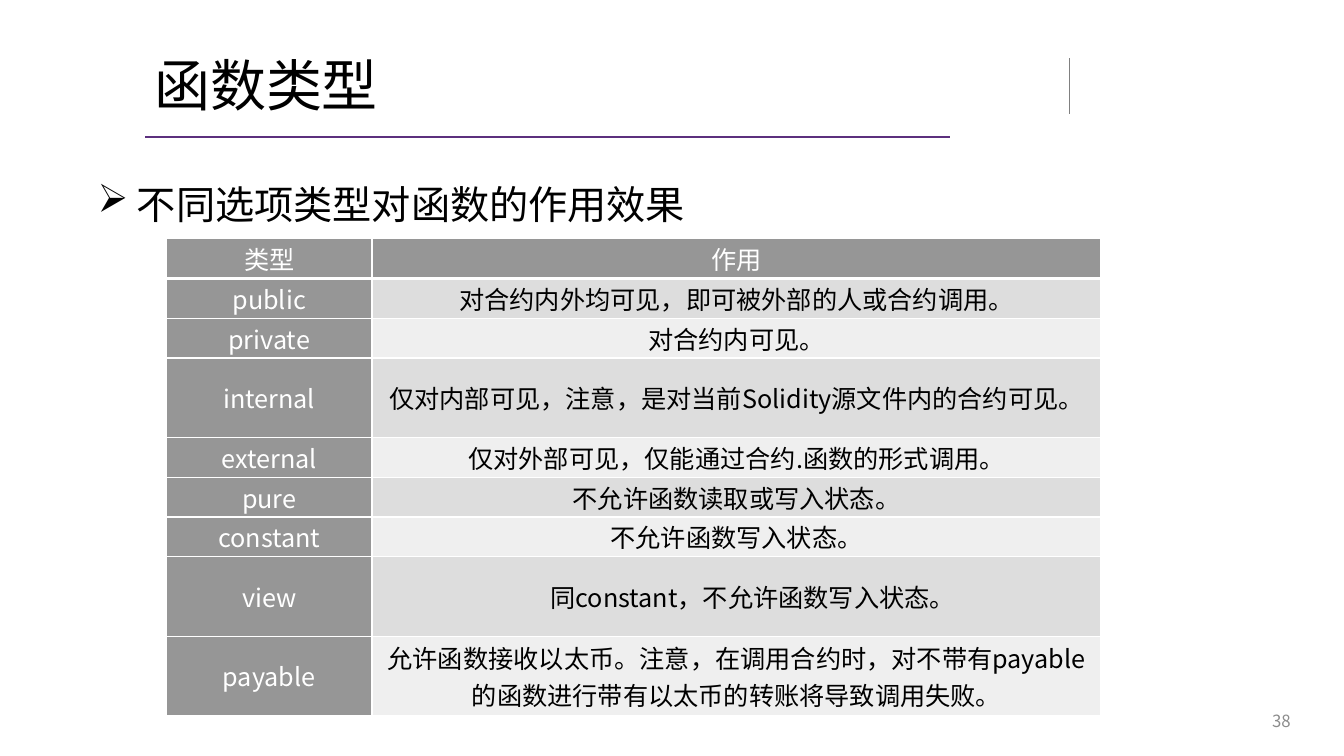
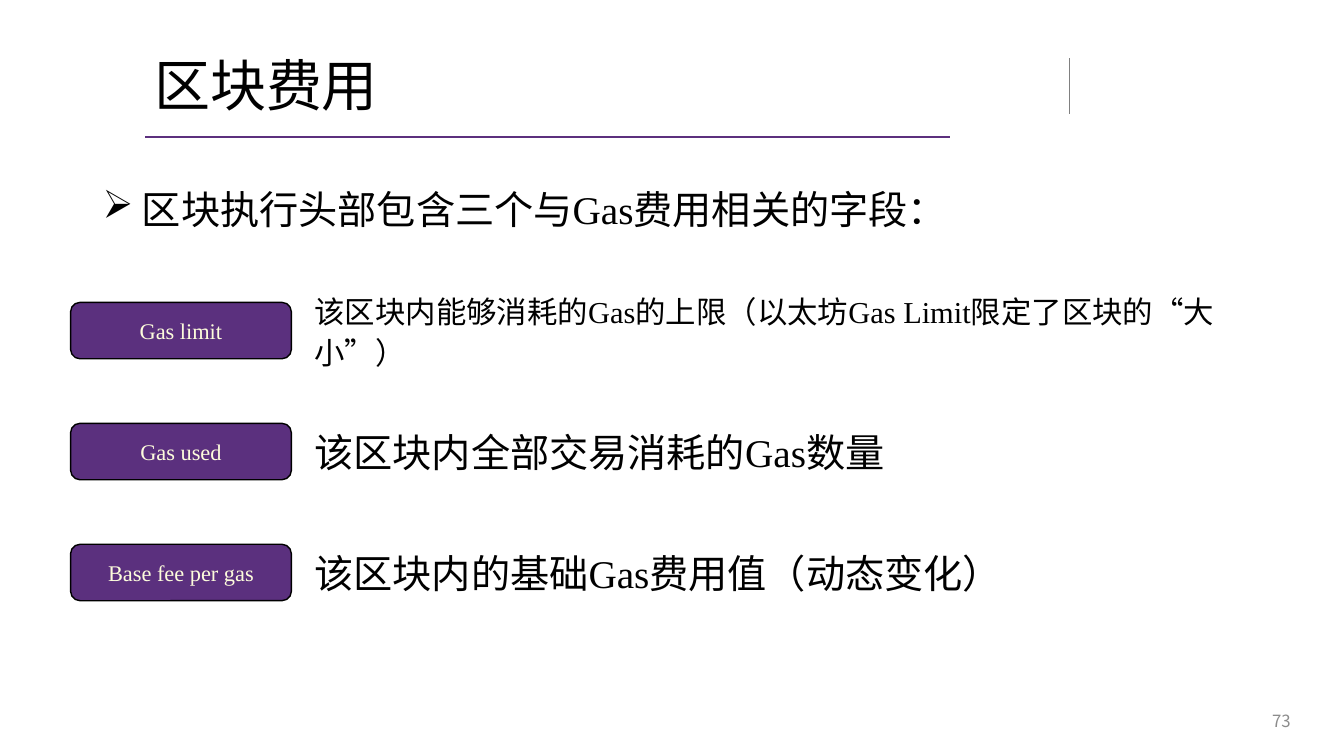
from dataclasses import dataclass
from typing import Optional

from lxml import etree
from pptx import Presentation
from pptx.dml.color import RGBColor
from pptx.enum.shapes import MSO_CONNECTOR, MSO_SHAPE
from pptx.enum.text import MSO_ANCHOR, PP_ALIGN
from pptx.oxml.ns import qn
from pptx.util import Inches, Pt

LEFT, CENTER, RIGHT = PP_ALIGN.LEFT, PP_ALIGN.CENTER, PP_ALIGN.RIGHT
TOP, MIDDLE = MSO_ANCHOR.TOP, MSO_ANCHOR.MIDDLE
STRAIGHT = MSO_CONNECTOR.STRAIGHT
ROUNDED = MSO_SHAPE.ROUNDED_RECTANGLE

SANS = "Noto Sans CJK SC"
SERIF = "Times New Roman"
COLORS = {
    "text": "000000",
    "white": "FFFFFF",
    "rule": "5C307E",
    "divider": "808080",
    "page": "8C8C8C",
    "label": "5B307E",
    "label_text": "FDFCDC",
    "head": "969696",
    "band_dark": "DDDDDD",
    "band_light": "EFEFEF",
}


@dataclass(frozen=True)
class Style:
    size: float
    font: str = SANS
    color: str = "text"
    align: PP_ALIGN = LEFT
    anchor: MSO_ANCHOR = TOP
    spacing: float = 1.0
    bullet: bool = False


@dataclass(frozen=True)
class Box:
    left: float
    top: float
    width: float
    height: float

    def emu(self) -> tuple:
        return tuple(Inches(n) for n in (self.left, self.top, self.width, self.height))


@dataclass(frozen=True)
class TableRow:
    kind: str
    effect: str
    units: int = 1
    indent: Optional[float] = None


@dataclass(frozen=True)
class Field:
    name: str
    meaning: str
    style: Style


TITLE = Style(40, anchor=MIDDLE, spacing=0.9)
PAGE = Style(12, color="page", align=RIGHT, anchor=MIDDLE)
CELL = Style(18, align=CENTER, anchor=MIDDLE)
CELL_WHITE = Style(18, color="white", align=CENTER, anchor=MIDDLE)
LABEL = Style(16, SERIF, "label_text", CENTER, MIDDLE)
MEANING = Style(28, SERIF, spacing=1.3)
LONG_MEANING = Style(21.7, SERIF, anchor=MIDDLE, spacing=1.1)

TABLE_ROWS = [
    TableRow("类型", "作用"),
    TableRow("public", "对合约内外均可见，即可被外部的人或合约调用。"),
    TableRow("private", "对合约内可见。"),
    TableRow("internal", "仅对内部可见，注意，是对当前Solidity源文件内的合约可见。", 2),
    TableRow("external", "仅对外部可见，仅能通过合约.函数的形式调用。"),
    TableRow("pure", "不允许函数读取或写入状态。"),
    TableRow("constant", "不允许函数写入状态。"),
    TableRow("view", "同constant，不允许函数写入状态。", 2, 1.7),
    TableRow("payable", "允许函数接收以太币。注意，在调用合约时，对不带有payable的函数进行"
             "带有以太币的转账将导致调用失败。", 2),
]
FIELDS = [
    Field("Gas limit", "该区块内能够消耗的Gas的上限（以太坊Gas Limit限定了区块的“大小”）",
          LONG_MEANING),
    Field("Gas used", "该区块内全部交易消耗的Gas数量", MEANING),
    Field("Base fee per gas", "该区块内的基础Gas费用值（动态变化）", MEANING),
]


def rgb(name: str) -> RGBColor:
    return RGBColor.from_string(COLORS[name])


def write(text_frame, text: str, style: Style):
    """Put one styled paragraph in a text frame."""
    text_frame.word_wrap = True
    paragraph = text_frame.paragraphs[0]
    paragraph.text = text
    paragraph.alignment = style.align
    paragraph.line_spacing = style.spacing
    properties = paragraph._p.get_or_add_pPr()
    if style.bullet:
        properties.set("marL", str(Inches(0.39)))
        properties.set("indent", str(-Inches(0.39)))
        etree.SubElement(properties, qn("a:buChar"), char="➢")
    font = paragraph.font
    font.size = Pt(style.size)
    font.name = style.font
    font.color.rgb = rgb(style.color)
    # Chinese characters always use the sans font
    etree.SubElement(properties.find(qn("a:defRPr")), qn("a:ea"), typeface=SANS)
    return paragraph


def add_text(slide, box: Box, text: str, style: Style) -> None:
    text_frame = slide.shapes.add_textbox(*box.emu()).text_frame
    text_frame.vertical_anchor = style.anchor
    write(text_frame, text, style)


def add_line(slide, start: tuple, end: tuple, color: str, width: float) -> None:
    points = [Inches(n) for n in start + end]
    connector = slide.shapes.add_connector(STRAIGHT, *points)
    connector.line.color.rgb = rgb(color)
    connector.line.width = Pt(width)
    etree.SubElement(connector._element.spPr, qn("a:effectLst"))


def add_label(slide, box: Box, text: str) -> None:
    shape = slide.shapes.add_shape(ROUNDED, *box.emu())
    shape.shadow.inherit = False
    shape.fill.solid()
    shape.fill.fore_color.rgb = rgb("label")
    shape.line.color.rgb = rgb("text")
    shape.line.width = Pt(1)
    shape.text_frame.vertical_anchor = LABEL.anchor
    write(shape.text_frame, text, LABEL)


def add_slide(presentation, title: str, page: int):
    """Blank slide with the shared title, rules and page number."""
    slide = presentation.slides.add_slide(presentation.slide_layouts[6])
    add_line(slide, (1.44, 1.36), (9.42, 1.36), "rule", 1.5)
    add_line(slide, (10.61, 0.58), (10.61, 1.13), "divider", 1)
    add_text(slide, Box(1.43, 0.4, 8.99, 0.96), title, TITLE)
    add_text(slide, Box(9.9, 6.95, 3, 0.4), str(page), PAGE)
    return slide


def fill_cell(cell, text: str, style: Style, fill: str, bottom_width: float):
    cell.margin_left = cell.margin_right = Inches(0.07)
    cell.margin_top = cell.margin_bottom = 0
    cell.vertical_anchor = style.anchor
    # Borders come before the fill in the cell properties
    properties = cell._tc.get_or_add_tcPr()
    for side, width in (("L", 1), ("R", 1), ("T", 1), ("B", bottom_width)):
        border = etree.SubElement(properties, qn(f"a:ln{side}"), w=str(Pt(width)))
        solid = etree.SubElement(border, qn("a:solidFill"))
        etree.SubElement(solid, qn("a:srgbClr"), val=COLORS["white"])
    cell.fill.solid()
    cell.fill.fore_color.rgb = rgb(fill)
    return write(cell.text_frame, text, style)


def add_type_table(slide, box: Box, column_widths: tuple) -> None:
    table = slide.shapes.add_table(len(TABLE_ROWS), 2, *box.emu()).table
    table.first_row = table.horz_banding = False
    for column, width in zip(table.columns, column_widths):
        column.width = Inches(width)
    unit = box.height / sum(row.units for row in TABLE_ROWS)
    for index, row in enumerate(TABLE_ROWS):
        table.rows[index].height = Inches(unit * row.units)
        header = index == 0
        bottom = 3 if header else 1
        band = "head" if header else "band_dark" if index % 2 else "band_light"
        fill_cell(table.cell(index, 0), row.kind, CELL_WHITE, "head", bottom)
        paragraph = fill_cell(table.cell(index, 1), row.effect,
                              CELL_WHITE if header else CELL, band, bottom)
        if row.indent is not None:
            paragraph.alignment = LEFT
            paragraph._p.pPr.set("indent", str(Inches(row.indent)))


def build_function_types(presentation) -> None:
    slide = add_slide(presentation, "函数类型", 38)
    add_text(slide, Box(0.87, 1.55, 10.81, 0.83), "不同选项类型对函数的作用效果",
             Style(28, spacing=1.4, bullet=True))
    add_type_table(slide, Box(1.65, 2.37, 9.27, 4.73), (2.04, 7.23))


def build_block_fees(presentation) -> None:
    slide = add_slide(presentation, "区块费用", 73)
    add_text(slide, Box(0.92, 1.65, 11.5, 0.83), "区块执行头部包含三个与Gas费用相关的字段：",
             Style(28, SERIF, spacing=1.3, bullet=True))
    for index, field in enumerate(FIELDS):
        top = 3 + 1.2 * index
        add_label(slide, Box(0.7, top, 2.19, 0.56), field.name)
        add_text(slide, Box(3.02, top - 0.14, 9.98, 0.83), field.meaning, field.style)


def main() -> None:
    presentation = Presentation()
    presentation.slide_width = Inches(13.33)
    presentation.slide_height = Inches(7.5)
    build_function_types(presentation)
    build_block_fees(presentation)
    presentation.save("out.pptx")


if __name__ == "__main__":
    main()
